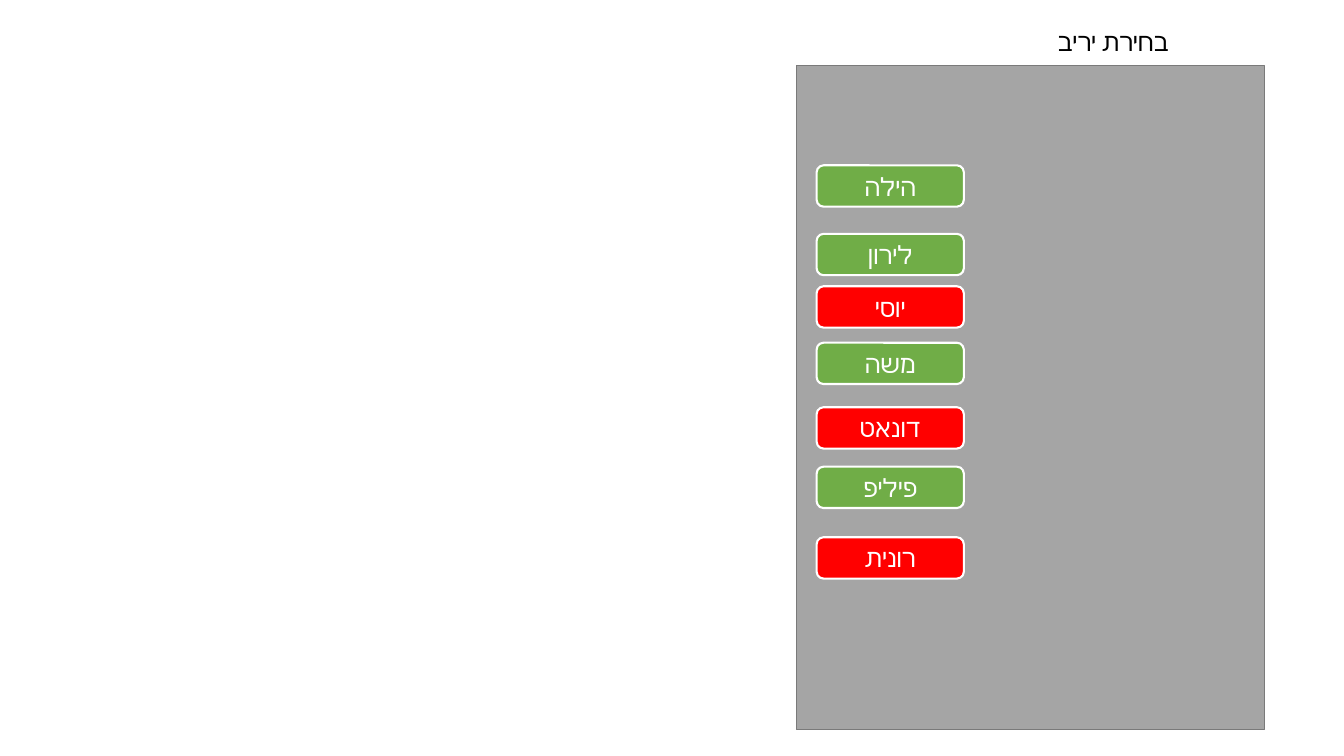
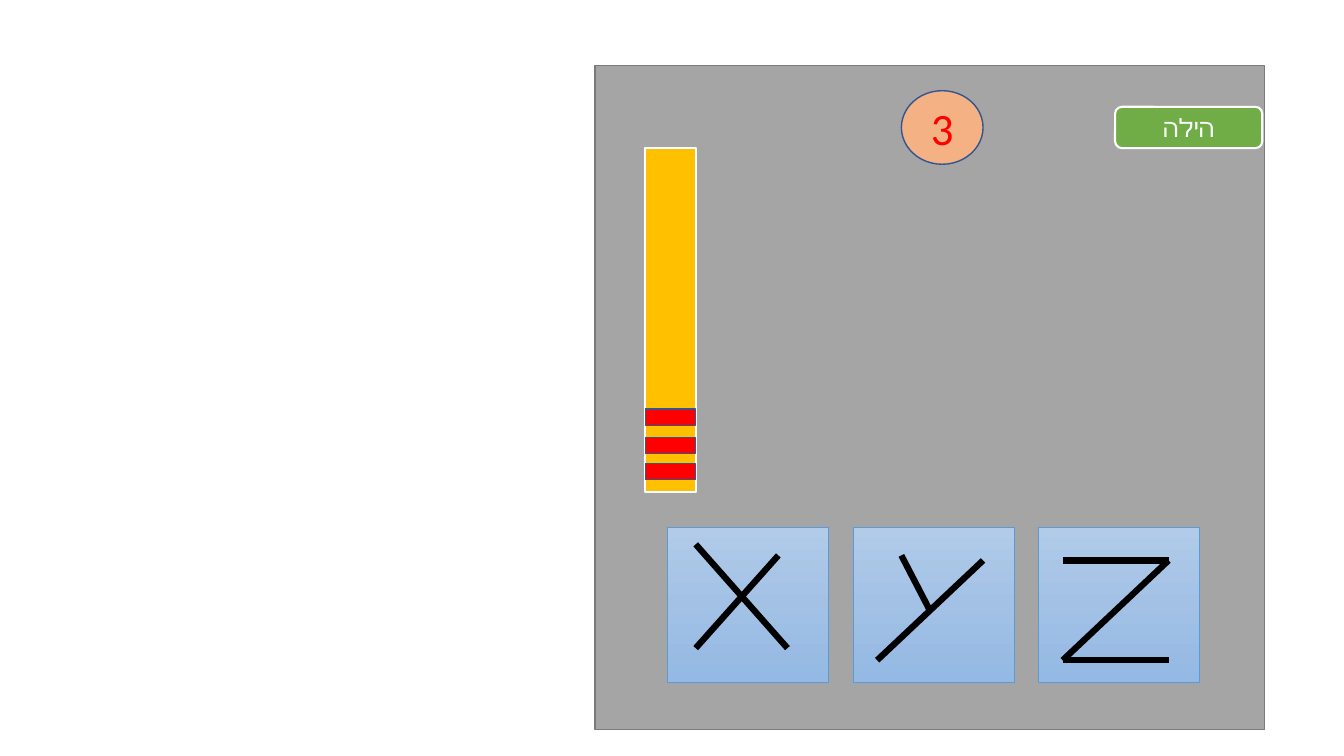
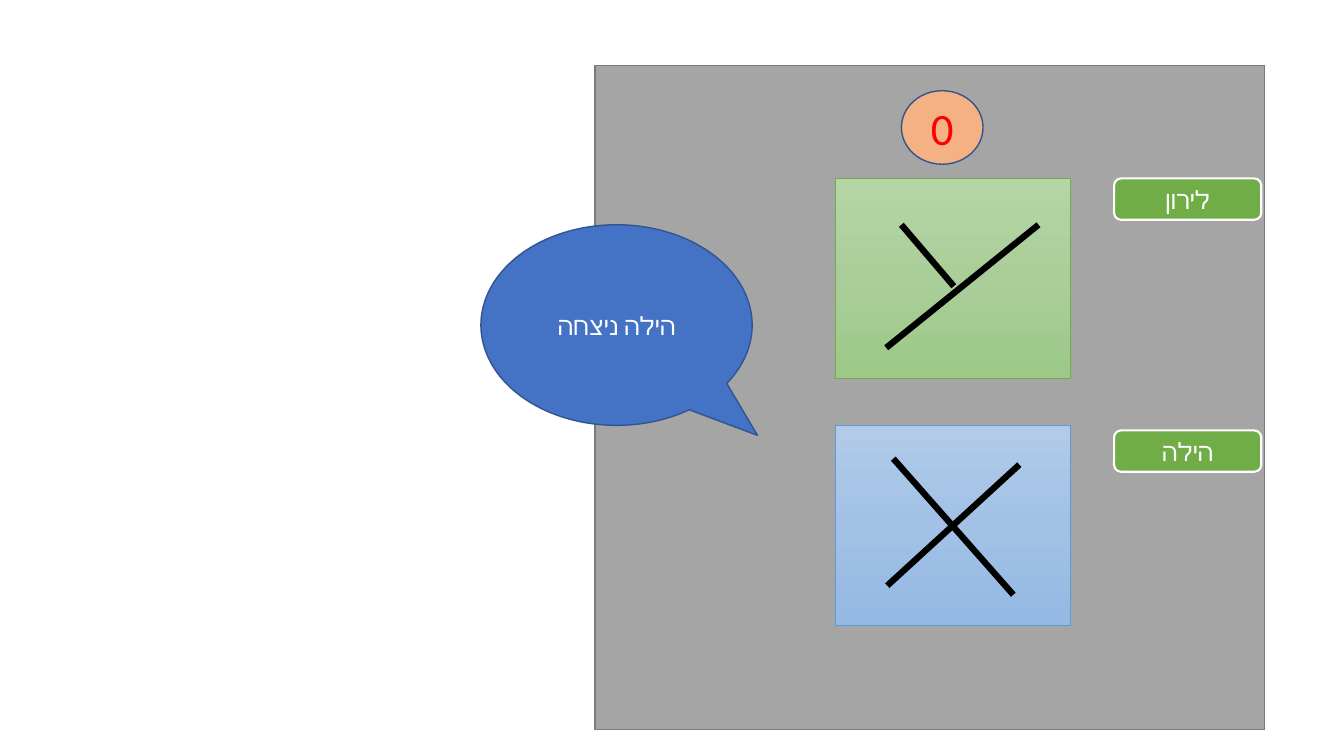
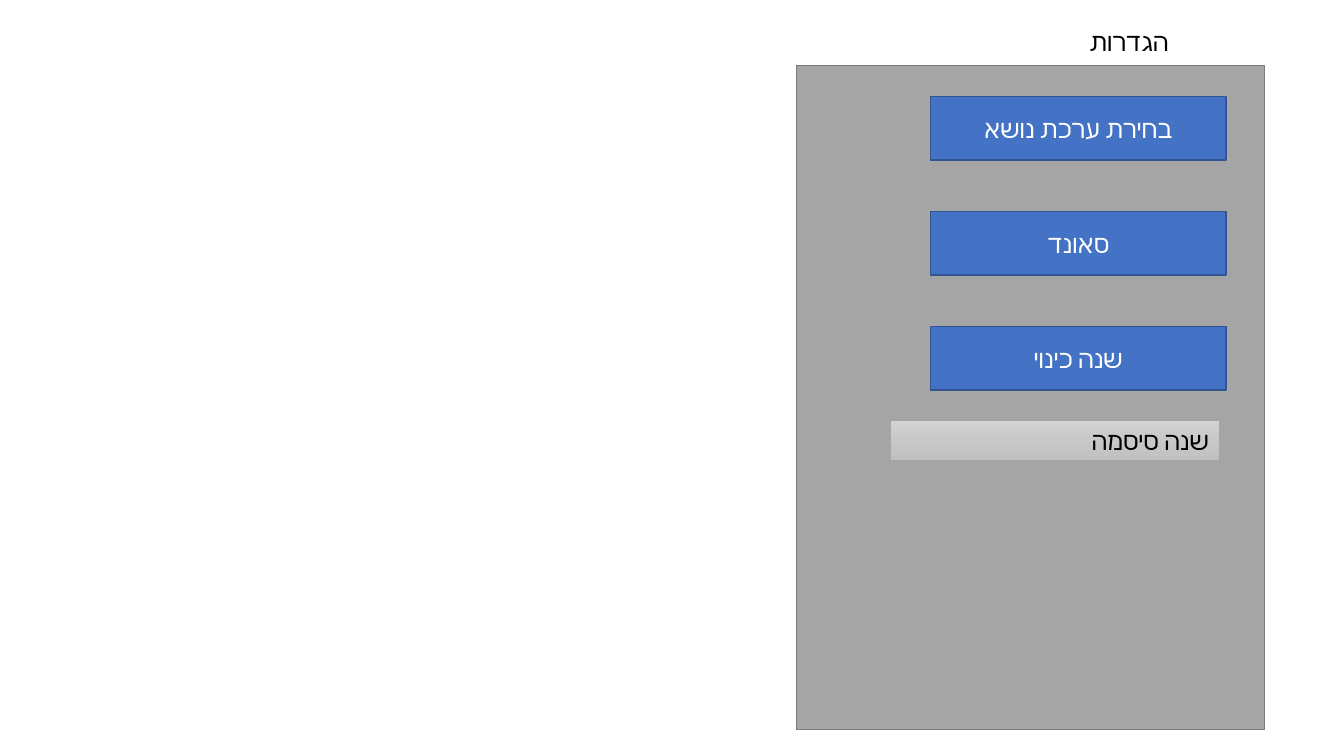
import copy
from dataclasses import dataclass

import lxml.etree
import pptx
import pptx.dml.color
import pptx.enum.shapes
import pptx.enum.text
import pptx.oxml.ns
import pptx.util

Inches = pptx.util.Inches
SHAPES = pptx.enum.shapes.MSO_SHAPE
ALIGN = pptx.enum.text.PP_ALIGN


@dataclass(frozen=True)
class Theme:
    font: str = "Calibri"
    body_size: int = 18
    counter_size: int = 32
    black: str = "000000"
    white: str = "FFFFFF"
    red: str = "FF0000"
    green: str = "70AD47"
    blue: str = "4472C4"
    navy: str = "325491"
    gold: str = "FFC000"
    peach: str = "F4B183"
    panel: str = "A5A5A5"
    panel_edge: str = "7A7A7A"
    card_edge: str = "5B9BD5"
    blue_fade: tuple = ("B1CBE9", "A3C1E5", "93B9E4")
    green_fade: tuple = ("B5D5A7", "AACE9A", "9CC987")
    gray_fade: tuple = ("D2D2D2", "C8C8C8", "C0C0C0")


def rgb(value):
    return pptx.dml.color.RGBColor.from_string(value)


class Deck:
    def __init__(self, theme):
        self.theme = theme
        self.presentation = pptx.Presentation()
        self.presentation.slide_width = Inches(13.33)
        self.presentation.slide_height = Inches(7.5)
        self.slide = None

    def new_slide(self, panel_left):
        """Start a slide with its gray game screen."""
        self.slide = self.presentation.slides.add_slide(self.presentation.slide_layouts[6])
        self.shape(SHAPES.RECTANGLE, (panel_left, 0.65, 12.54 - panel_left, 6.59),
                   self.theme.panel, self.theme.panel_edge)

    # Basic elements
    def label(self, shape, text, color, size=None, align=ALIGN.CENTER):
        frame = shape.text_frame
        frame.word_wrap = True
        paragraph = frame.paragraphs[0]
        paragraph.alignment = align
        paragraph._p.get_or_add_pPr().set("rtl", "1")
        run = paragraph.add_run()
        run.text = text
        run.font.name = self.theme.font
        run.font.size = pptx.util.Pt(size or self.theme.body_size)
        run.font.color.rgb = rgb(color)
        script_font = lxml.etree.SubElement(run._r.get_or_add_rPr(), pptx.oxml.ns.qn("a:cs"))
        script_font.set("typeface", self.theme.font)

    def shape(self, kind, box, fill, edge, width=1):
        shape = self.slide.shapes.add_shape(kind, *map(Inches, box))
        shape.shadow.inherit = False
        if isinstance(fill, tuple):
            self.fade(shape, fill)
        else:
            shape.fill.solid()
            shape.fill.fore_color.rgb = rgb(fill)
        shape.line.color.rgb = rgb(edge)
        shape.line.width = pptx.util.Pt(width)
        return shape

    def fade(self, shape, colors):
        """Fill from top to bottom with three evenly spaced colors."""
        shape.fill.gradient()
        shape.fill.gradient_angle = 270
        stop_list = shape._element.spPr.find(".//" + pptx.oxml.ns.qn("a:gsLst"))
        stop_list.insert(1, copy.deepcopy(stop_list[0]))
        for index, (stop, color) in enumerate(zip(shape.fill.gradient_stops, colors)):
            stop.position = index / 2
            stop.color.rgb = rgb(color)

    def strokes(self, *lines):
        """Draw a letter from thick black lines."""
        for line in lines:
            connector = self.slide.shapes.add_connector(
                pptx.enum.shapes.MSO_CONNECTOR.STRAIGHT, *map(Inches, line))
            connector.line.color.rgb = rgb(self.theme.black)
            connector.line.width = pptx.util.Pt(4.5)
            lxml.etree.SubElement(connector._element.spPr, pptx.oxml.ns.qn("a:effectLst"))

    # Game elements
    def title(self, text):
        box = self.slide.shapes.add_textbox(*map(Inches, (9.23, 0.21, 2.46, 0.41)))
        self.label(box, text, self.theme.black, align=ALIGN.RIGHT)
        box.text_frame.auto_size = pptx.enum.text.MSO_AUTO_SIZE.SHAPE_TO_FIT_TEXT

    def player(self, name, left, top, available=True):
        fill = self.theme.green if available else self.theme.red
        badge = self.shape(SHAPES.ROUNDED_RECTANGLE, (left, top, 1.46, 0.41),
                           fill, self.theme.white, 1.5)
        self.label(badge, name, self.theme.white)

    def counter(self, number):
        circle = self.shape(SHAPES.OVAL, (8.94, 0.9, 0.81, 0.73),
                            self.theme.peach, self.theme.navy)
        self.label(circle, number, self.theme.red, self.theme.counter_size)

    def card(self, box, fill, edge):
        self.shape(SHAPES.RECTANGLE, box, fill, edge, 0.5)

    def button(self, text, top):
        button = self.shape(SHAPES.RECTANGLE, (9.23, top, 2.93, 0.63),
                            self.theme.blue, self.theme.navy)
        self.label(button, text, self.theme.white)

    def speech(self, text, box, tip):
        bubble = self.shape(SHAPES.OVAL_CALLOUT, box, self.theme.blue, self.theme.navy)
        bubble.adjustments[0], bubble.adjustments[1] = tip
        self.label(bubble, text, self.theme.white)

    def field(self, text, box):
        field = self.shape(SHAPES.RECTANGLE, box, self.theme.gray_fade, self.theme.panel, 0.5)
        self.label(field, text, self.theme.black, align=ALIGN.RIGHT)
        field.text_frame.auto_size = pptx.enum.text.MSO_AUTO_SIZE.SHAPE_TO_FIT_TEXT


theme = Theme()
deck = Deck(theme)
NARROW_PANEL, WIDE_PANEL = 7.9, 5.9

# Slide 1: choice of opponent
deck.new_slide(NARROW_PANEL)
players = [("הילה", 1.64, True), ("לירון", 2.32, True), ("יוסי", 2.84, False),
           ("משה", 3.4, True), ("דונאט", 4.04, False), ("פיליפ", 4.63, True),
           ("רונית", 5.33, False)]
for name, top, available in players:
    deck.player(name, 8.1, top, available)
deck.title("בחירת יריב")

# Slide 2: choice of letter
deck.new_slide(WIDE_PANEL)
for column in range(3):
    deck.card((6.62 + 1.84 * column, 5.23, 1.6, 1.54), theme.blue_fade, theme.card_edge)
deck.strokes((6.9, 5.4, 7.81, 6.43), (6.9, 6.43, 7.72, 5.51))
deck.strokes((8.7, 6.55, 9.75, 5.56), (9.22, 6.05, 8.94, 5.51))
deck.strokes((10.54, 6.55, 11.59, 5.56), (11.59, 5.56, 10.54, 5.56),
             (11.59, 6.55, 10.54, 6.55))

# Power gauge
deck.shape(SHAPES.RECTANGLE, (6.4, 1.47, 0.5, 3.41), theme.gold, theme.white, 1.5)
for top in (4.6, 4.34, 4.06):
    deck.shape(SHAPES.RECTANGLE, (6.4, top, 0.5, 0.16), theme.red, theme.navy)
deck.counter("3")
deck.player("הילה", 11.06, 1.06)

# Slide 3: result of the round
deck.new_slide(WIDE_PANEL)
deck.card((8.29, 1.77, 2.33, 1.98), theme.green_fade, theme.green)
deck.strokes((8.79, 3.45, 10.3, 2.23), (8.94, 2.23, 9.46, 2.84))
deck.counter("0")
deck.card((8.29, 4.22, 2.33, 1.98), theme.blue_fade, theme.card_edge)
deck.strokes((8.86, 4.55, 10.05, 5.9), (8.8, 5.81, 10.11, 4.61))
deck.player("לירון", 11.05, 1.77)
deck.player("הילה", 11.05, 4.27)
deck.speech("הילה ניצחה", (4.77, 2.23, 2.69, 1.99), (0.52, 0.55))

# Slide 4: settings
deck.new_slide(NARROW_PANEL)
deck.title("הגדרות")
for row, text in enumerate(["בחירת ערכת נושא", "סאונד", "שנה כינוי"]):
    deck.button(text, 0.96 + 1.14 * row)
deck.field("שנה סיסמה", (8.83, 4.17, 3.26, 0.4))

deck.presentation.save("out.pptx")
